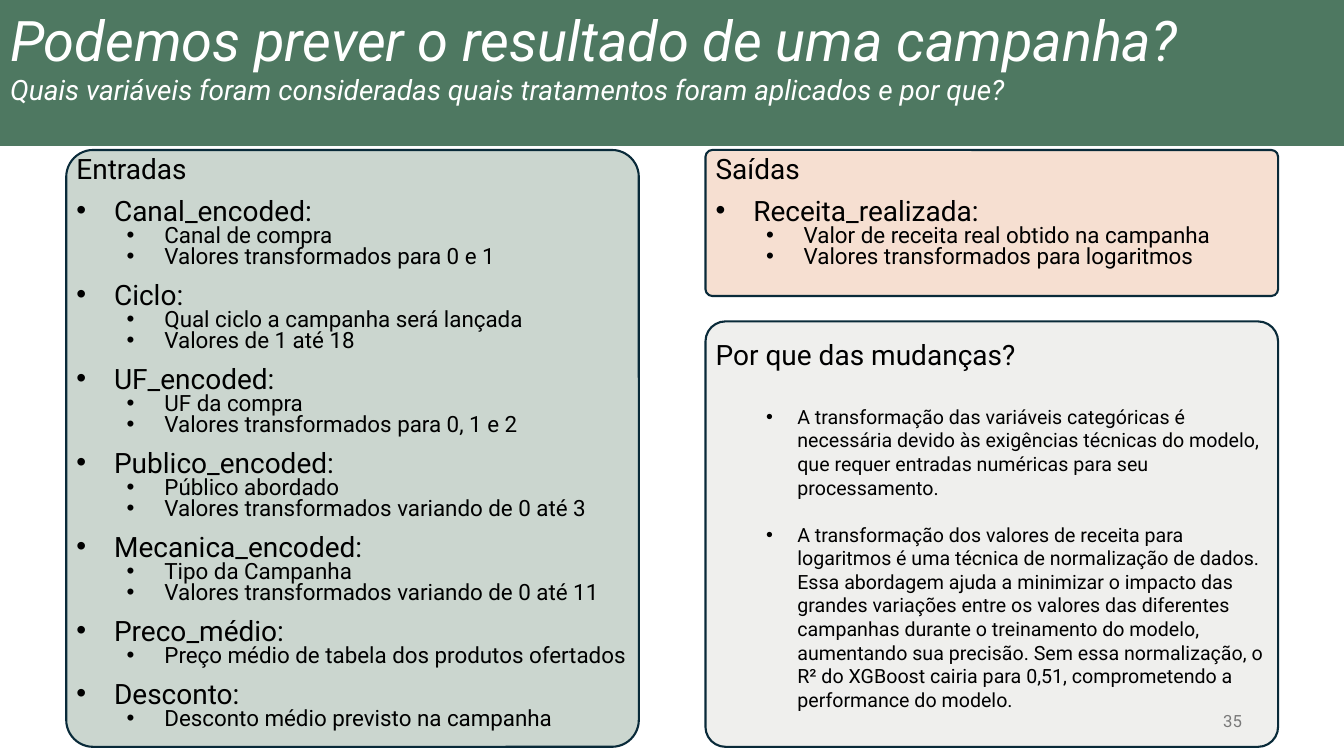
from dataclasses import dataclass

from lxml import etree
from pptx import Presentation
from pptx import util as u
from pptx.dml.color import RGBColor
from pptx.enum import shapes, text
from pptx.oxml.ns import qn


@dataclass(frozen=True)
class Theme:
    font: str = "Roboto"
    banner: str = "4E7861"
    inputs: str = "98AFA0"
    outputs: str = "EFC1A5"
    reasons: str = "E1E0DC"
    outline: str = "092A39"
    light: str = "FFFFFF"
    dark: str = "000000"
    muted: str = "797979"
    title: int = 40
    heading: int = 20
    item: int = 16
    note: int = 14
    number: int = 12


class SlideBuilder:
    def __init__(self, prs, theme):
        self.theme = theme
        self.slide = prs.slides.add_slide(prs.slide_layouts.get_by_name("Comparison"))

    def style(self, font, size, color):
        font.name, font.size, font.bold = self.theme.font, u.Pt(size), False
        font.color.rgb = RGBColor.from_string(color)

    def place(self, idx, box):
        """Move a placeholder to its box, in front of the panels."""
        sp = self.slide.placeholders[idx]
        sp.left, sp.top, sp.width, sp.height = map(u.Cm, box)
        sp.element.getparent().append(sp.element)
        tf = sp.text_frame
        tf.word_wrap = True
        tf.auto_size = text.MSO_AUTO_SIZE.NONE
        tf.vertical_anchor = text.MSO_ANCHOR.TOP
        return tf

    def panel(self, box, color, rounded=True):
        kind = shapes.MSO_SHAPE.ROUNDED_RECTANGLE if rounded else shapes.MSO_SHAPE.RECTANGLE
        sp = self.slide.shapes.add_shape(kind, *map(u.Cm, box))
        sp.shadow.inherit = False
        sp.fill.solid()
        sp.fill.fore_color.rgb = RGBColor.from_string(color)
        if not rounded:
            sp.line.fill.background()
            return
        sp.adjustments[0] = 0.047
        sp.line.color.rgb = RGBColor.from_string(self.theme.outline)
        sp.line.width = u.Pt(1.5)
        # Half transparent fill
        srgb = sp.element.spPr.find(qn("a:solidFill")).find(qn("a:srgbClr"))
        etree.SubElement(srgb, qn("a:alpha"), val="50000")

    def title(self, box, heading, subtitle):
        p = self.place(0, box).paragraphs[0]
        p.alignment = text.PP_ALIGN.LEFT
        self.style(p.font, self.theme.title, self.theme.light)
        p.font.italic = True
        p.add_run().text = heading
        p.add_line_break()
        r = p.add_run()
        r.text = subtitle
        r.font.size = u.Pt(self.theme.heading)

    def paragraph(self, tf, content, size, before=0, level=0, indent=None, spacing=None):
        p = tf.paragraphs[0] if not tf.text else tf.add_paragraph()
        p.text, p.level = content, level
        p.alignment = text.PP_ALIGN.LEFT
        p.space_before, p.space_after = u.Pt(before), u.Pt(0)
        p.line_spacing = u.Pt(spacing) if spacing else 1.0
        self.style(p.font, size, self.theme.dark)
        # Bullet, placed ahead of the default run properties
        left, hanging = indent or (0, 0)
        pPr = p._p.get_or_add_pPr()
        pPr.set("marL", str(u.Cm(left)))
        pPr.set("indent", str(-u.Cm(hanging)))
        defaults = pPr.find(qn("a:defRPr"))
        if indent:
            defaults.addprevious(etree.Element(qn("a:buFont"), typeface="Arial"))
            defaults.addprevious(etree.Element(qn("a:buChar"), char="•"))
        else:
            defaults.addprevious(etree.Element(qn("a:buNone")))

    def variables(self, idx, box, heading, groups):
        t, tf, line = self.theme, self.place(idx, box), 15
        self.paragraph(tf, heading, t.heading, spacing=line)
        for name, details in groups.items():
            self.paragraph(tf, name, t.heading, line, 0, (0.95, 0.95), line)
            for detail in details:
                self.paragraph(tf, detail, t.item, 0, 1, (2.22, 0.95), line)

    def notes(self, idx, box, heading, items):
        t, tf = self.theme, self.place(idx, box)
        self.paragraph(tf, heading, t.heading)
        for i, item in enumerate(items):
            self.paragraph(tf, item, t.note, 17 if i else 24, 1, (2.06, 0.79))

    def page_number(self, box, number):
        tf = self.slide.shapes.add_textbox(*map(u.Cm, box)).text_frame
        tf.word_wrap = True
        tf.vertical_anchor = text.MSO_ANCHOR.MIDDLE
        p = tf.paragraphs[0]
        p.text, p.alignment = number, text.PP_ALIGN.RIGHT
        self.style(p.font, self.theme.number, self.theme.muted)

    def remove_empty(self):
        for sp in list(self.slide.placeholders):
            if not sp.text_frame.text:
                sp.element.getparent().remove(sp.element)


INPUTS = {
    "Canal_encoded:": ["Canal de compra", "Valores transformados para 0 e 1"],
    "Ciclo:": ["Qual ciclo a campanha será lançada", "Valores de 1 até 18"],
    "UF_encoded:": ["UF da compra", "Valores transformados para 0, 1 e 2"],
    "Publico_encoded:": ["Público abordado", "Valores transformados variando de 0 até 3"],
    "Mecanica_encoded:": ["Tipo da Campanha", "Valores transformados variando de 0 até 11"],
    "Preco_médio:": ["Preço médio de tabela dos produtos ofertados"],
    "Desconto:": ["Desconto médio previsto na campanha"],
}
OUTPUTS = {
    "Receita_realizada:": [
        "Valor de receita real obtido na campanha",
        "Valores transformados para logaritmos",
    ],
}
REASONS = [
    "A transformação das variáveis categóricas é necessária devido às exigências "
    "técnicas do modelo, que requer entradas numéricas para seu processamento.",
    "A transformação dos valores de receita para logaritmos é uma técnica de "
    "normalização de dados. Essa abordagem ajuda a minimizar o impacto das grandes "
    "variações entre os valores das diferentes campanhas durante o treinamento do "
    "modelo, aumentando sua precisão. Sem essa normalização, o R² do XGBoost cairia "
    "para 0,51, comprometendo a performance do modelo.",
]


def main():
    prs = Presentation()
    prs.slide_width, prs.slide_height = u.Cm(33.87), u.Cm(19.05)
    theme = Theme()
    s = SlideBuilder(prs, theme)
    left, right, width, top, text_top = 1.67, 17.78, 14.43, 3.78, 4.01

    # Panels and banner
    s.panel((right, top, width, 3.68), theme.outputs)
    s.panel((left, top, width, 15.04), theme.inputs)
    s.panel((right, 8.1, width, 10.72), theme.reasons)
    s.panel((0, 0, 33.87, 3.68), theme.banner, rounded=False)

    # Title and lists
    s.title((0, 0, 32.49, 2.82), "Podemos prever o resultado de uma campanha?",
            "Quais variáveis foram consideradas quais tratamentos foram aplicados e por que?")
    s.variables(1, (left, text_top, width, 14.71), "Entradas", INPUTS)
    s.variables(2, (right, text_top, width, 3.48), "Saídas", OUTPUTS)
    s.notes(4, (right, 8.38, width, 9.75), "Por que das mudanças?", REASONS)

    # Page number
    s.page_number((23.93, 17.65, 7.62, 1.02), "35")
    s.remove_empty()
    prs.save("out.pptx")


if __name__ == "__main__":
    main()
